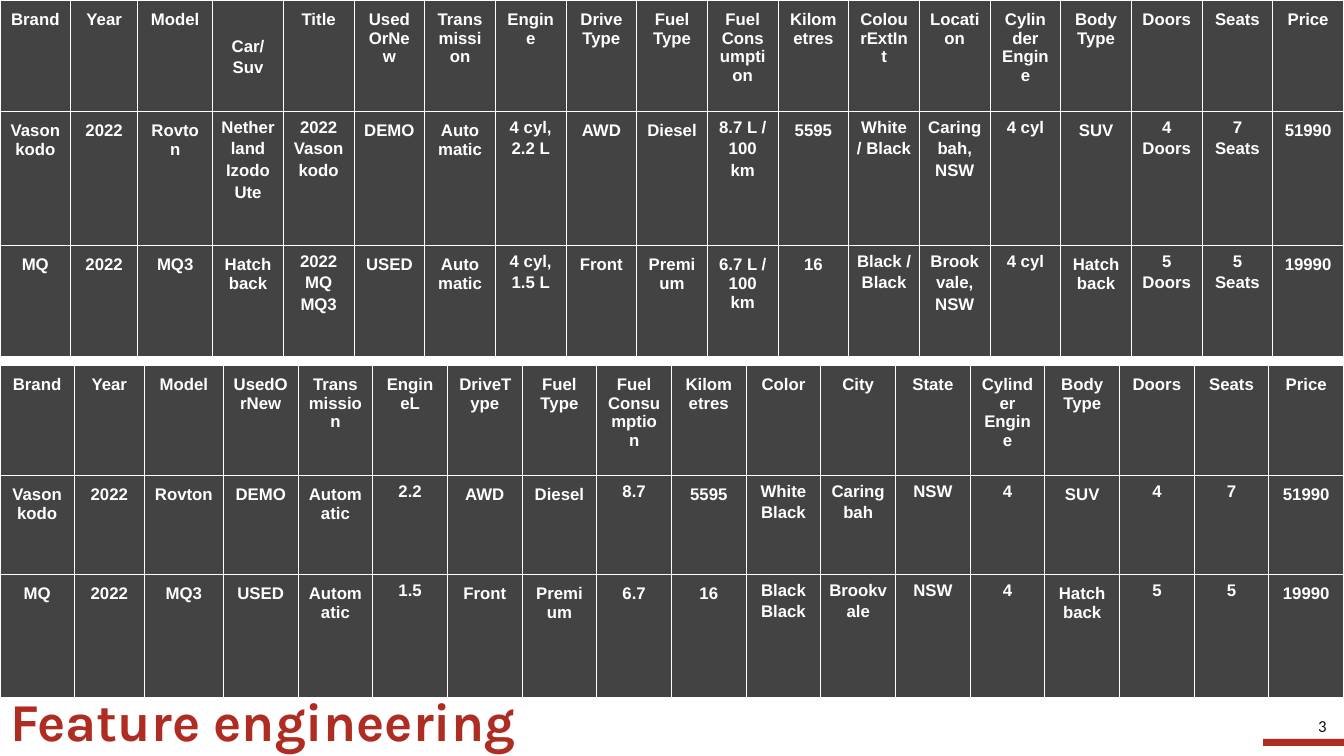
from dataclasses import dataclass

from lxml.etree import SubElement
from pptx import Presentation
from pptx.dml.color import RGBColor
from pptx.enum.shapes import MSO_SHAPE
from pptx.enum.text import MSO_ANCHOR, MSO_AUTO_SIZE, PP_ALIGN
from pptx.oxml.ns import qn
from pptx.slide import Slide
from pptx.table import _Cell
from pptx.text.text import TextFrame
from pptx.util import Cm, Pt


@dataclass(frozen=True)
class Theme:
    red: str = "AF2C22"
    ink: str = "121212"
    cell: str = "434343"
    white: str = "FFFFFF"
    title_font: str = "Karla"
    cell_font: str = "Arial"
    number_font: str = "Calibri"
    title_size: int = 38
    text_size: int = 12
    border: float = 0.75


@dataclass(frozen=True)
class Column:
    """Header and two cars; airy lists the rows with open line spacing."""
    texts: tuple[str, str, str]
    airy: tuple[int, ...] = ()
    centred_header: bool = False


@dataclass(frozen=True)
class CarTable:
    top: float
    lead_widths: tuple[float, ...]
    heights: tuple[float, ...]
    columns: tuple[Column, ...]


THEME = Theme()
WIDTH, HEIGHT = 33.87, 19.05
CARS = (1, 2)

BRAND = Column(("Brand", "Vasonkodo", "MQ"))
YEAR = Column(("Year", "2022", "2022"))
MODEL = Column(("Model", "Rovton", "MQ3"))
USED = Column(("UsedOrNew", "DEMO", "USED"))
GEARBOX = Column(("Transmission", "Automatic", "Automatic"))
DRIVE = Column(("DriveType", "AWD", "Front"))
FUEL = Column(("Fuel Type", "Diesel", "Premium"))
DISTANCE = Column(("Kilometres", "5595", "16"))
BODY = Column(("Body Type", "SUV", "Hatchback"))
PRICE = Column(("Price", "51990", "19990"))

RAW = CarTable(0, (1.78, 1.69, 1.89), (2.8, 3.38, 2.8), (
    BRAND, YEAR, MODEL,
    Column(("Car/Suv", "Netherland Izodo Ute", "Hatchback"), (0, 1), True),
    Column(("Title", "2022 Vasonkodo", "2022 MQ MQ3"), CARS),
    USED, GEARBOX,
    Column(("Engine", "4 cyl, 2.2 L", "4 cyl, 1.5 L"), CARS),
    DRIVE, FUEL,
    Column(("Fuel Consumption", "8.7 L / 100 km", "6.7 L / 100 km"), (1,)),
    DISTANCE,
    Column(("ColourExtInt", "White / Black", "Black / Black"), CARS),
    Column(("Location", "Caringbah, NSW", "Brookvale, NSW"), CARS),
    Column(("Cylinder Engine", "4 cyl", "4 cyl"), CARS),
    BODY,
    Column(("Doors", "4 Doors", "5 Doors"), CARS),
    Column(("Seats", "7 Seats", "5 Seats"), CARS),
    PRICE,
))
ENGINEERED = CarTable(9.2, (1.87, 1.77, 1.99), (2.77, 2.5, 3.1), (
    BRAND, YEAR, MODEL, USED, GEARBOX,
    Column(("EngineL", "2.2", "1.5"), CARS),
    DRIVE, FUEL,
    Column(("Fuel Consumption", "8.7", "6.7"), (1,)),
    DISTANCE,
    Column(("Color", "White Black", "Black Black"), CARS),
    Column(("City", "Caringbah", "Brookvale"), CARS),
    Column(("State", "NSW", "NSW"), CARS),
    Column(("Cylinder Engine", "4", "4"), CARS),
    BODY,
    Column(("Doors", "4", "5"), CARS),
    Column(("Seats", "7", "5"), CARS),
    PRICE,
))


def write(tf: TextFrame, text: str, font: str, size: int, color: str,
          align: PP_ALIGN, bold: bool = False, spacing: float = 1.0) -> None:
    tf.word_wrap = True
    p = tf.paragraphs[0]
    p.text = text
    p.alignment = align
    p.line_spacing = spacing
    p.font.name = font
    p.font.size = Pt(size)
    p.font.bold = bold
    p.font.color.rgb = RGBColor.from_string(color)


def add_borders(cell: _Cell) -> None:
    tc_pr = cell._tc.get_or_add_tcPr()
    for side in ("a:lnL", "a:lnR", "a:lnT", "a:lnB"):
        ln = SubElement(tc_pr, qn(side), w=str(Pt(THEME.border)))
        fill = SubElement(ln, qn("a:solidFill"))
        SubElement(fill, qn("a:srgbClr"), val=THEME.white)


def fill_cell(cell: _Cell, column: Column, row: int) -> None:
    airy = row in column.airy
    side, edge = (0.2, 0.1) if airy else (0.25, 0.25)
    cell.margin_left = cell.margin_right = Cm(side)
    cell.margin_top = cell.margin_bottom = Cm(edge)
    centred = column.centred_header and row == 0
    cell.vertical_anchor = MSO_ANCHOR.MIDDLE if centred else MSO_ANCHOR.TOP
    add_borders(cell)
    cell.fill.solid()
    cell.fill.fore_color.rgb = RGBColor.from_string(THEME.cell)
    write(cell.text_frame, column.texts[row], THEME.cell_font, THEME.text_size,
          THEME.white, PP_ALIGN.CENTER, True, 1.15 if airy else 1.0)


def add_car_table(s: Slide, spec_table: CarTable) -> None:
    """Draw a full-width table; columns after the leading ones share the rest."""
    columns, lead = spec_table.columns, spec_table.lead_widths
    table = s.shapes.add_table(
        len(spec_table.heights), len(columns), Cm(0), Cm(spec_table.top),
        Cm(WIDTH), Cm(sum(spec_table.heights))).table
    table.first_row = table.horz_banding = False
    rest = len(columns) - len(lead)
    widths = lead + ((WIDTH - sum(lead)) / rest,) * rest
    for row, height in enumerate(spec_table.heights):
        table.rows[row].height = Cm(height)
    for i, (column, width) in enumerate(zip(columns, widths)):
        table.columns[i].width = Cm(width)
        for row in range(len(column.texts)):
            fill_cell(table.cell(row, i), column, row)


def add_title(s: Slide) -> None:
    title = s.shapes.title
    title.left, title.top = Cm(0), Cm(17.58)
    title.width, title.height = Cm(23.75), Cm(1.52)
    tf = title.text_frame
    tf.auto_size = MSO_AUTO_SIZE.NONE
    tf.vertical_anchor = MSO_ANCHOR.BOTTOM
    write(tf, "Feature engineering", THEME.title_font, THEME.title_size,
          THEME.red, PP_ALIGN.LEFT, True, 0.9)


def add_page_mark(s: Slide) -> None:
    """Draw the slide number and the red bar below it."""
    left = Cm(31.83)
    bar = s.shapes.add_shape(MSO_SHAPE.RECTANGLE, left, Cm(18.62), Cm(2.04), Cm(0.18))
    bar.shadow.inherit = False
    bar.fill.solid()
    bar.fill.fore_color.rgb = RGBColor.from_string(THEME.red)
    bar.line.fill.background()
    tf = s.shapes.add_textbox(left, Cm(17.96), Cm(1.85), Cm(0.66)).text_frame
    tf.vertical_anchor = MSO_ANCHOR.MIDDLE
    write(tf, "3", THEME.number_font, THEME.text_size, THEME.ink, PP_ALIGN.RIGHT)


def main() -> None:
    prs = Presentation()
    prs.slide_width, prs.slide_height = Cm(WIDTH), Cm(HEIGHT)
    s = prs.slides.add_slide(prs.slide_layouts[5])
    add_title(s)
    add_page_mark(s)
    for car_table in (RAW, ENGINEERED):
        add_car_table(s, car_table)
    prs.save("out.pptx")


if __name__ == "__main__":
    main()
